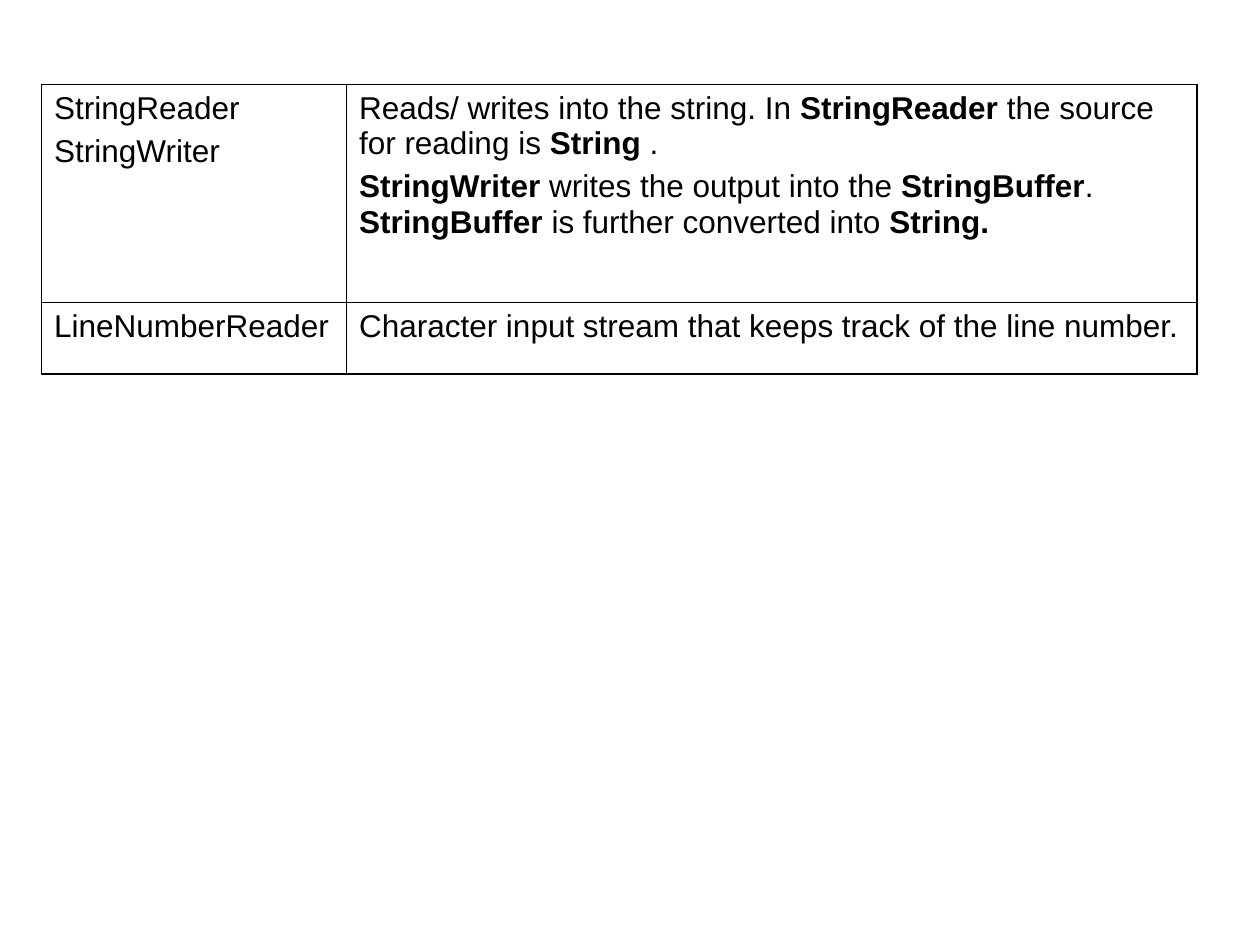
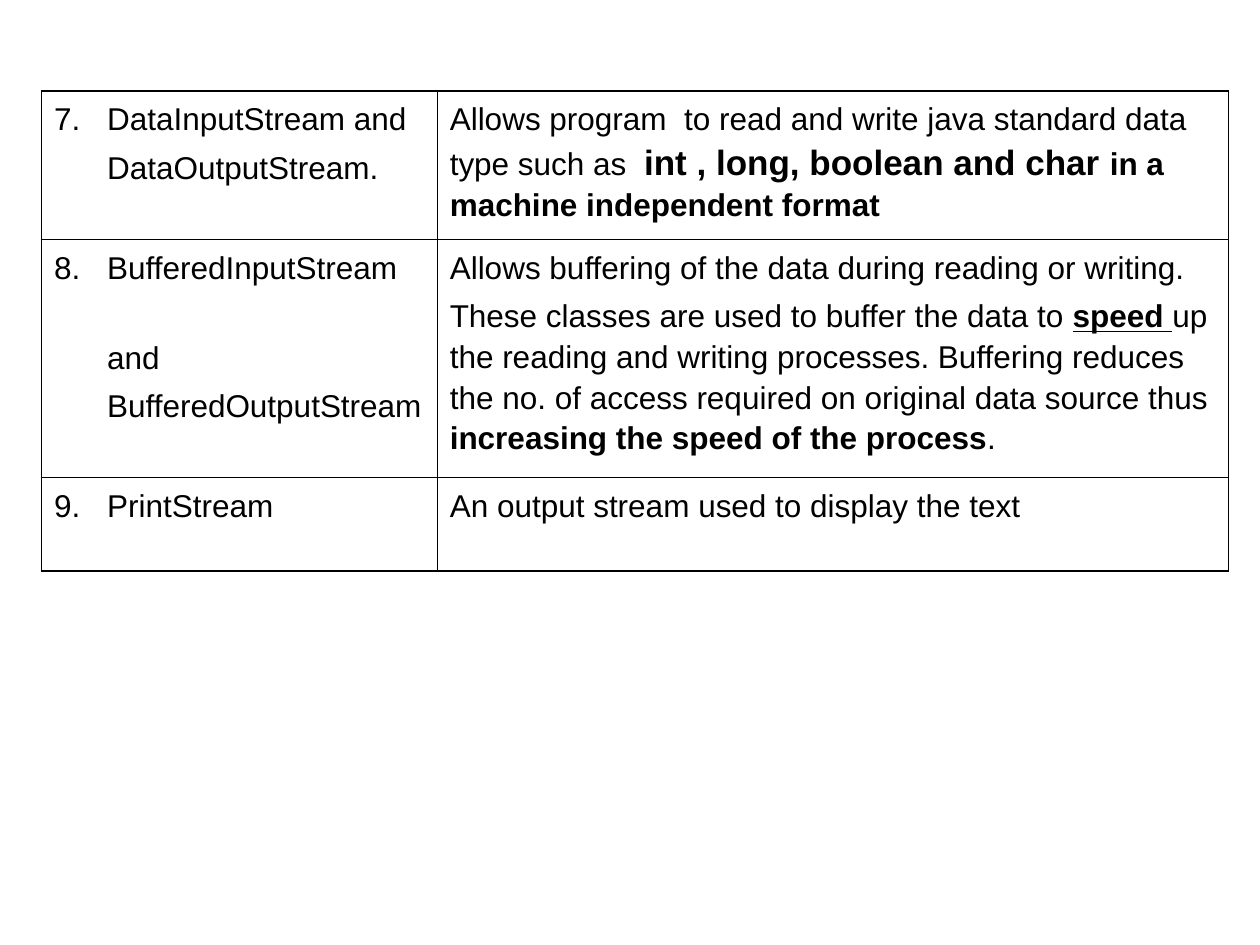
"""Build two slides of tables describing Java stream classes."""
from lxml import etree
from pptx import Presentation
from pptx.dml.color import RGBColor
from pptx.oxml import ns
from pptx.util import Inches, Pt

COLORS = {"text": "000000", "border": "000000"}
FONT = "Arial"
BODY_SIZE = 18
PARA_GAP = 4.5
OUTER, INNER = 1.08, 0.45
NUMBER_INDENT = 0.42
BOLD = {"bold": True}
LARGE = {"bold": True, "size": 20}
STRESS = {"bold": True, "underline": True}


def add_border(cell, side, width):
    line = etree.SubElement(cell._tc.get_or_add_tcPr(), ns.qn(f"a:ln{side}"), w=str(Pt(width)))
    fill = etree.SubElement(line, ns.qn("a:solidFill"))
    etree.SubElement(fill, ns.qn("a:srgbClr"), val=COLORS["border"])


def fill_cell(cell, paragraphs, line_spacing, number=None):
    frame = cell.text_frame
    for index, entry in enumerate(paragraphs):
        para = frame.paragraphs[0] if index == 0 else frame.add_paragraph()
        if number:
            props = para._p.get_or_add_pPr()
            props.set("marL", str(Inches(NUMBER_INDENT)))
            props.set("indent", str(Inches(-NUMBER_INDENT if index == 0 else 0)))
            if index == 0:
                etree.SubElement(props, ns.qn("a:buFont"), typeface=FONT)
                etree.SubElement(props, ns.qn("a:buAutoNum"), type="arabicPeriod", startAt=str(number))
        para.line_spacing = line_spacing
        if index:
            para.space_before = Pt(entry.get("gap", PARA_GAP))
        for words, style in entry["spans"]:
            span = para.add_run()
            span.text = words
            span.font.name = FONT
            span.font.size = Pt(style.get("size", BODY_SIZE))
            span.font.bold = style.get("bold", False)
            span.font.underline = style.get("underline", False)
            span.font.color.rgb = RGBColor.from_string(COLORS["text"])


tables = [
    {
        "top": 0.67, "columns": [2.42, 6.75], "heights": [1.73, 0.57], "spacing": 1.0,
        "rows": [
            (None,
             [{"spans": [("StringReader", {})]}, {"spans": [("StringWriter", {})]}],
             [{"spans": [("Reads/ writes into the string. In ", {}), ("StringReader ", BOLD),
                         ("the source for reading is ", {}), ("String ", BOLD), (".", {})]},
              {"spans": [("StringWriter ", BOLD), ("writes the output into the ", {}),
                         ("StringBuffer", BOLD), (". ", {}), ("StringBuffer", BOLD),
                         (" is further converted into ", {}), ("String.", BOLD)]}]),
            (None,
             [{"spans": [("LineNumberReader", {})]}],
             [{"spans": [("Character input stream that keeps track of the line number.", {})]}]),
        ],
    },
    {
        "top": 0.72, "columns": [3.14, 6.28], "heights": [1.18, 1.89, 0.74], "spacing": 1.15,
        "rows": [
            (7,
             [{"spans": [("DataInputStream and", {})]}, {"spans": [("DataOutputStream.", {})]}],
             [{"spans": [("Allows program  to read and write java standard data type such as  ", {}),
                         ("int , long, boolean and char ", LARGE),
                         ("in a machine independent format", BOLD)]}]),
            (8,
             [{"spans": [("BufferedInputStream", {})]},
              {"spans": [("and", {})], "gap": 28},
              {"spans": [("BufferedOutputStream", {})]}],
             [{"spans": [("Allows buffering of the data during reading or writing.", {})]},
              {"spans": [("These classes are used to buffer the data to ", {}), ("speed ", STRESS),
                         ("up the reading and writing processes. Buffering reduces the no. of "
                          "access required on original data source thus ", {}),
                         ("increasing the speed of the process", BOLD), (".", {})]}]),
            (9,
             [{"spans": [("PrintStream", {})]}],
             [{"spans": [("An output stream used to display the text", {})]}]),
        ],
    },
]

deck = Presentation()
deck.slide_width, deck.slide_height = Inches(10), Inches(7.5)

for data in tables:
    page = deck.slides.add_slide(deck.slide_layouts[6])
    rows, columns, heights = data["rows"], data["columns"], data["heights"]
    table = page.shapes.add_table(
        len(rows), len(columns), Inches(0.33), Inches(data["top"]),
        Inches(sum(columns)), Inches(sum(heights))).table
    table.first_row = table.horz_banding = False
    for column, width in zip(table.columns, columns):
        column.width = Inches(width)
    for row, height in zip(table.rows, heights):
        row.height = Inches(height)
    for r, (number, names, description) in enumerate(rows):
        for c, paragraphs in enumerate((names, description)):
            cell = table.cell(r, c)
            edges = {"L": c == 0, "R": c == len(columns) - 1,
                     "T": r == 0, "B": r == len(rows) - 1}
            for side, is_outer in edges.items():
                add_border(cell, side, OUTER if is_outer else INNER)
            cell.fill.background()
            fill_cell(cell, paragraphs, data["spacing"], number if c == 0 else None)

deck.save("out.pptx")
